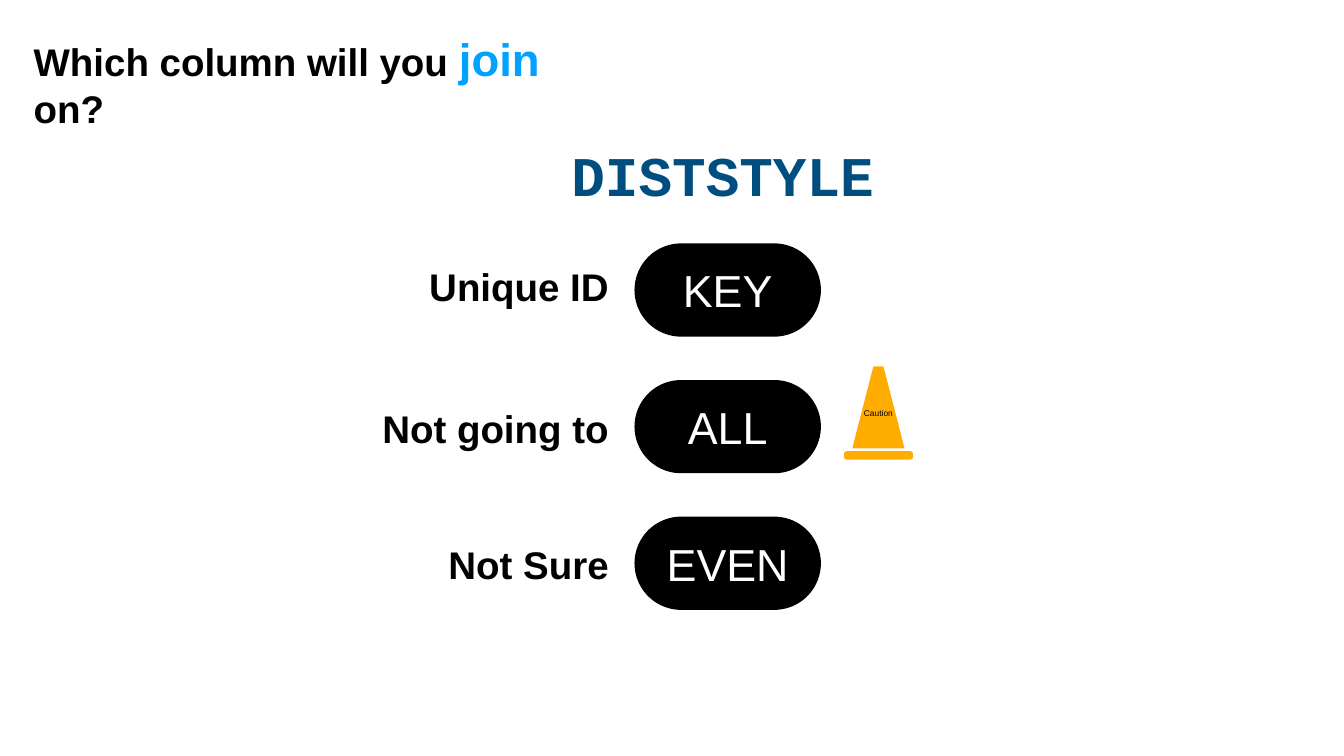
from pptx import Presentation
from pptx.dml.color import RGBColor
from pptx.enum.shapes import MSO_SHAPE
from pptx.enum.text import MSO_ANCHOR, PP_ALIGN
from pptx.util import Inches, Pt

BLACK = RGBColor(0x00, 0x00, 0x00)
WHITE = RGBColor(0xFF, 0xFF, 0xFF)
SKY = RGBColor(0x00, 0xA2, 0xFF)
NAVY = RGBColor(0x00, 0x4D, 0x80)
AMBER = RGBColor(0xFE, 0xAD, 0x00)

CONE_BODY = [(45, 0), (55, 0), (57, 0.5), (58.5, 1.8), (87.5, 88),
             (12.5, 88), (41.5, 1.8), (43, 0.5)]
CONE_BASE = [(3, 91), (97, 91), (99, 91.7), (100, 93), (100, 98), (99, 99.4),
             (97, 100), (3, 100), (1, 99.4), (0, 98), (0, 93), (1, 91.7)]


class SlideBuilder:
    font = "Arial"

    def __init__(self, presentation):
        self.slide = presentation.slides.add_slide(presentation.slide_layouts[6])
        self.column = presentation.slide_width / 100
        self.row = presentation.slide_height / 100

    def box(self, left, top, width, height):
        return (round(left * self.column), round(top * self.row),
                round(width * self.column), round(height * self.row))

    def add_runs(self, shape, runs, align, anchor, inset, bold=False, font=None):
        frame = shape.text_frame
        frame.word_wrap = True
        frame.vertical_anchor = anchor
        frame.margin_left = frame.margin_right = Inches(inset)
        frame.margin_top = frame.margin_bottom = Inches(inset)
        paragraph = frame.paragraphs[0]
        paragraph.alignment = align
        for text, size, color in runs:
            run = paragraph.add_run()
            run.text = text
            run.font.name = font or self.font
            run.font.size = Pt(size)
            run.font.bold = bold
            run.font.color.rgb = color

    def paint(self, shape, color):
        shape.shadow.inherit = False
        shape.fill.solid()
        shape.fill.fore_color.rgb = color
        shape.line.fill.background()

    def text(self, place, runs, align=PP_ALIGN.LEFT, anchor=MSO_ANCHOR.TOP,
             inset=0.05, font=None):
        shape = self.slide.shapes.add_textbox(*self.box(*place))
        self.add_runs(shape, runs, align, anchor, inset, bold=True, font=font)

    def pill(self, place, label):
        shape = self.slide.shapes.add_shape(MSO_SHAPE.ROUNDED_RECTANGLE, *self.box(*place))
        shape.adjustments[0] = 0.5
        self.paint(shape, BLACK)
        self.add_runs(shape, [(label, 64, WHITE)], PP_ALIGN.CENTER, MSO_ANCHOR.MIDDLE, 0.06)

    def cone(self, place, label):
        left, top, width, height = self.box(*place)
        builder = self.slide.shapes.build_freeform(
            *CONE_BODY[0], scale=(width / 100, height / 100))
        builder.add_line_segments(CONE_BODY[1:])
        builder.move_to(*CONE_BASE[0])
        builder.add_line_segments(CONE_BASE[1:])
        shape = builder.convert_to_shape(left, top)
        self.paint(shape, AMBER)
        self.add_runs(shape, [(label, 12, BLACK)], PP_ALIGN.CENTER, MSO_ANCHOR.MIDDLE, 0.06)


def main():
    presentation = Presentation()
    presentation.slide_width = Inches(26.67)
    presentation.slide_height = Inches(15)
    builder = SlideBuilder(presentation)

    builder.text((2.32, 3.73, 44.02, 7.93),
                 [("Which column will you ", 55, BLACK), ("join", 65, SKY), (" on?", 55, BLACK)])
    builder.text((42.29, 18.47, 23.73, 9.2), [("DISTSTYLE", 80, NAVY)],
                 anchor=MSO_ANCHOR.MIDDLE, inset=0.06, font="Courier New")

    choices = [("Unique ID", "KEY", 2.2), ("Not going to", "ALL", 2.95), ("Not Sure", "EVEN", 2.95)]
    for index, (situation, style, drop) in enumerate(choices):
        top = 32.2 + index * 18.07
        builder.text((23.73, top + drop, 21.75, 7.93), [(situation, 55, BLACK)],
                     align=PP_ALIGN.RIGHT)
        builder.pill((47.21, top, 13.87, 12.33), style)
    builder.cone((62.8, 48.47, 5.12, 12.33), "Caution")

    presentation.save("out.pptx")


if __name__ == "__main__":
    main()
